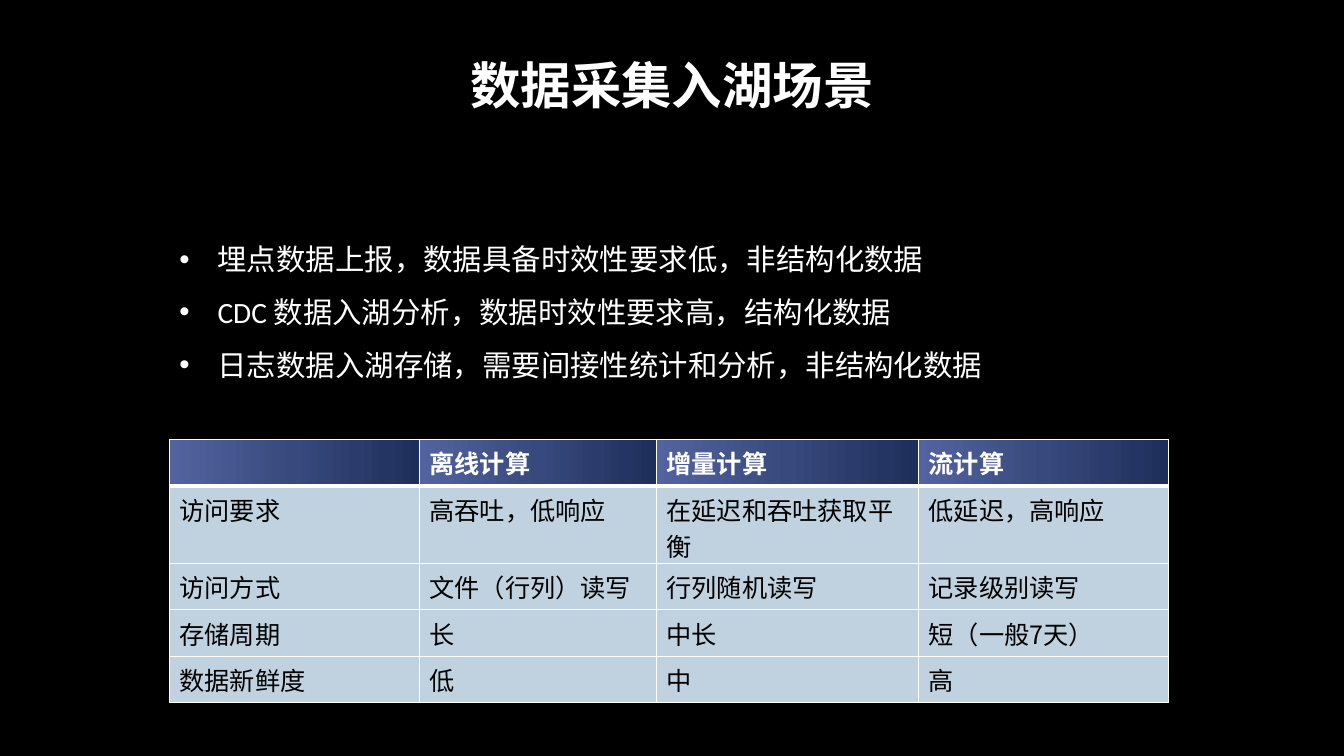
"""Build the slide on data lake ingestion scenarios."""
from dataclasses import dataclass

from lxml import etree
from pptx import Presentation
from pptx import util as u
from pptx.dml import color
from pptx.enum import text
from pptx.oxml import ns

WHITE, BLACK = "FFFFFF", "000000"
TABLE_FONT = "Noto Sans CJK SC"
LEFT, WIDTH = 1.68, 9.9
COLUMN_WIDTHS = [2.48, 2.35, 2.6, 2.48]
ROW_HEIGHTS = [0.46, 0.77, 0.46, 0.46, 0.46]
HEADER_STOPS = {0: "53639F", 50: "38497D", 75: "2B3C6C", 87: "243563", 100: "1D2E5A"}
SCENARIOS = [
    "埋点数据上报，数据具备时效性要求低，非结构化数据",
    "CDC 数据入湖分析，数据时效性要求高，结构化数据",
    "日志数据入湖存储，需要间接性统计和分析，非结构化数据",
]
COMPARISON = [
    ["", "离线计算", "增量计算", "流计算"],
    ["访问要求", "高吞吐，低响应", "在延迟和吞吐获取平衡", "低延迟，高响应"],
    ["访问方式", "文件（行列）读写", "行列随机读写", "记录级别读写"],
    ["存储周期", "长", "中长", "短（一般7天）"],
    ["数据新鲜度", "低", "中", "高"],
]


@dataclass(frozen=True)
class TextStyle:
    """Font settings for a run."""
    font: str
    size: float
    colour: str
    bold: bool = False


TITLE = TextStyle("Roboto", 36, WHITE, True)
BULLET = TextStyle("Calibri", 21, WHITE)
HEADER = TextStyle(TABLE_FONT, 18, WHITE, True)
BODY = TextStyle(TABLE_FONT, 18, BLACK)


def rgb(value: str) -> color.RGBColor:
    """Turn a hex string into a colour."""
    return color.RGBColor.from_string(value)


def add_xml(parent, tag: str, **attributes: str):
    """Append a DrawingML element and return it."""
    return etree.SubElement(parent, ns.qn(f"a:{tag}"), attributes)


def style_runs(paragraph, style: TextStyle) -> None:
    """Format every run of a paragraph."""
    for run in paragraph.runs:
        run.font.name = style.font
        run.font.size = u.Pt(style.size)
        run.font.bold = style.bold
        run.font.color.rgb = rgb(style.colour)
        add_xml(run.font._element, "ea", typeface=style.font)


def add_title(slide) -> None:
    """Add the centred heading."""
    box = slide.shapes.add_textbox(u.Inches(4.56), u.Inches(0.49), u.Inches(4.21), u.Inches(0.71))
    frame = box.text_frame
    frame.word_wrap = False
    frame.auto_size = text.MSO_AUTO_SIZE.SHAPE_TO_FIT_TEXT
    frame.text = "数据采集入湖场景"
    frame.paragraphs[0].alignment = text.PP_ALIGN.CENTER
    style_runs(frame.paragraphs[0], TITLE)


def add_scenarios(slide) -> None:
    """Add the bulleted list of scenarios."""
    box = slide.shapes.add_textbox(u.Inches(LEFT), u.Inches(2.17), u.Inches(WIDTH), u.Inches(1.7))
    frame = box.text_frame
    frame.word_wrap = True
    frame.text = "\n".join(SCENARIOS)
    indent = u.Inches(0.38)
    for paragraph in frame.paragraphs:
        paragraph.line_spacing = 1.5
        properties = paragraph._p.get_or_add_pPr()
        properties.set("marL", str(indent))
        properties.set("indent", str(-indent))
        add_xml(properties, "buFont", typeface="Arial")
        add_xml(properties, "buChar", char="•")
        style_runs(paragraph, BULLET)


def add_borders(properties, row: int) -> None:
    """Draw white cell borders, with a thick rule under the header."""
    thick_side = {0: "B", 1: "T"}.get(row)
    for side in "LRTB":
        width = u.Pt(3 if side == thick_side else 1)
        line = add_xml(properties, f"ln{side}", w=str(width))
        add_xml(add_xml(line, "solidFill"), "srgbClr", val=WHITE)


def add_cell_fill(properties, row: int) -> None:
    """Fill header cells with a gradient and body cells with a translucent blue."""
    if row == 0:
        gradient = add_xml(properties, "gradFill", rotWithShape="1")
        stops = add_xml(gradient, "gsLst")
        for position, colour in HEADER_STOPS.items():
            stop = add_xml(stops, "gs", pos=str(position * 1000))
            add_xml(stop, "srgbClr", val=colour)
        add_xml(gradient, "lin", ang="0", scaled="0")
    else:
        tint = add_xml(add_xml(properties, "solidFill"), "srgbClr", val="DBF0FF")
        add_xml(tint, "alpha", val="88000")


def add_comparison(slide) -> None:
    """Add the table comparing the kinds of computing."""
    table = slide.shapes.add_table(
        len(COMPARISON), len(COLUMN_WIDTHS),
        u.Inches(LEFT), u.Inches(4.36), u.Inches(WIDTH), u.Inches(sum(ROW_HEIGHTS)),
    ).table
    table.horz_banding = False
    for column, width in zip(table.columns, COLUMN_WIDTHS):
        column.width = u.Inches(width)
    for row, height in zip(table.rows, ROW_HEIGHTS):
        row.height = u.Inches(height)
    for row, values in enumerate(COMPARISON):
        for column, value in enumerate(values):
            cell = table.cell(row, column)
            cell.text_frame.text = value
            style_runs(cell.text_frame.paragraphs[0], BODY if row else HEADER)
            properties = cell._tc.get_or_add_tcPr()
            add_borders(properties, row)
            add_cell_fill(properties, row)


def main() -> None:
    """Create and save the presentation."""
    deck = Presentation()
    deck.slide_width, deck.slide_height = u.Inches(13.33), u.Inches(7.5)
    slide = deck.slides.add_slide(deck.slide_layouts[6])
    slide.background.fill.solid()
    slide.background.fill.fore_color.rgb = rgb(BLACK)
    add_title(slide)
    add_comparison(slide)
    add_scenarios(slide)
    deck.save("out.pptx")


if __name__ == "__main__":
    main()
